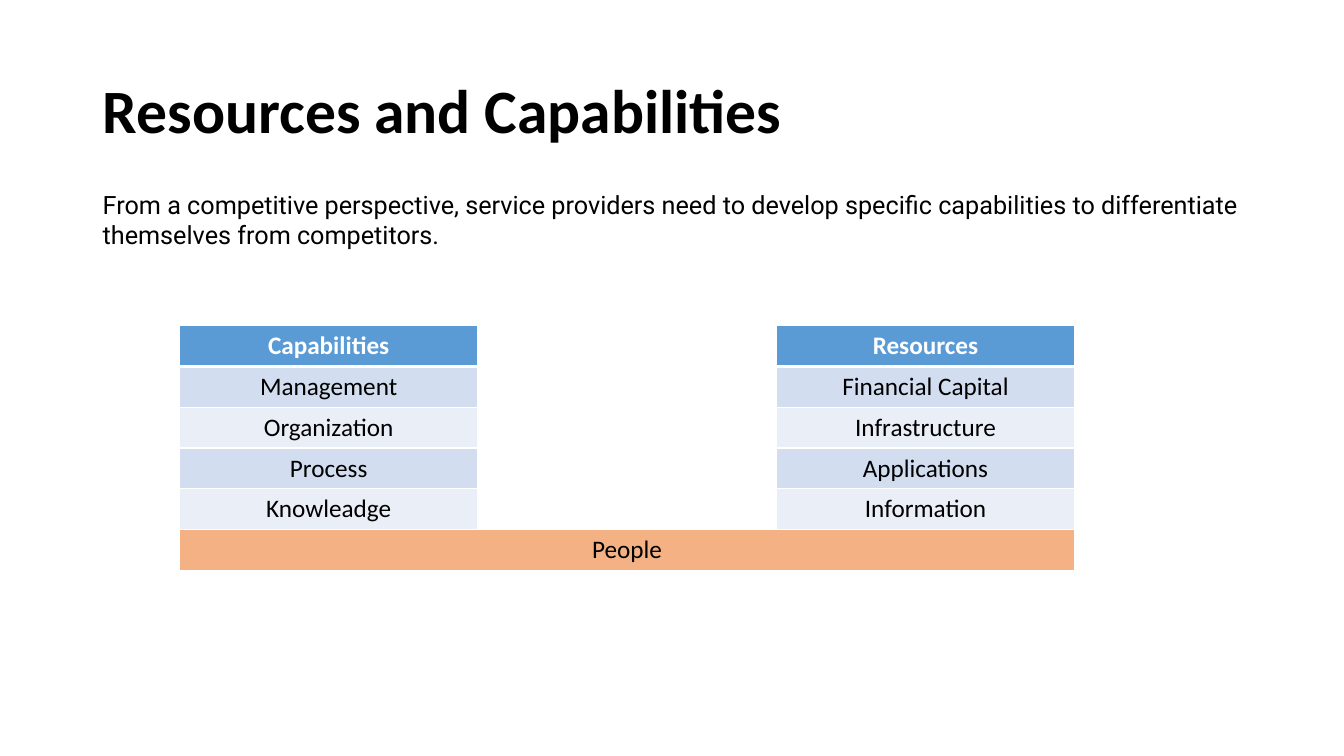
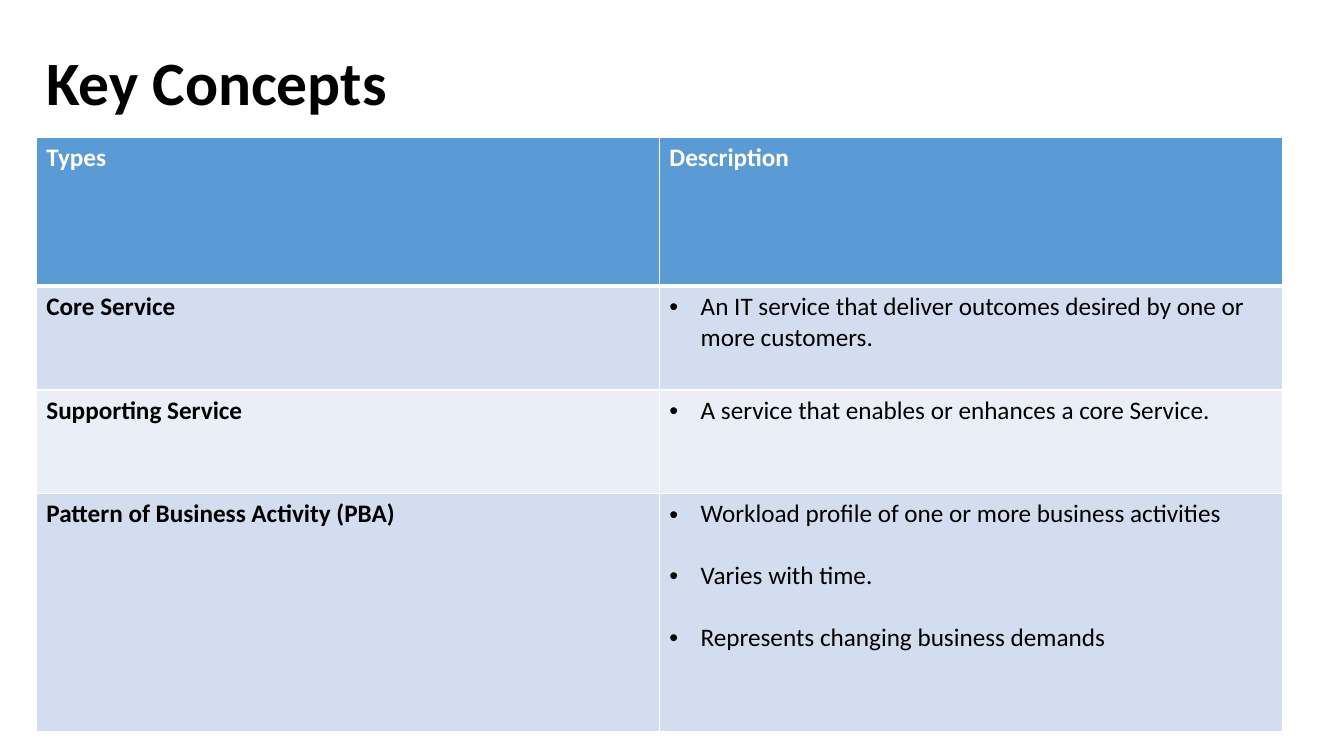
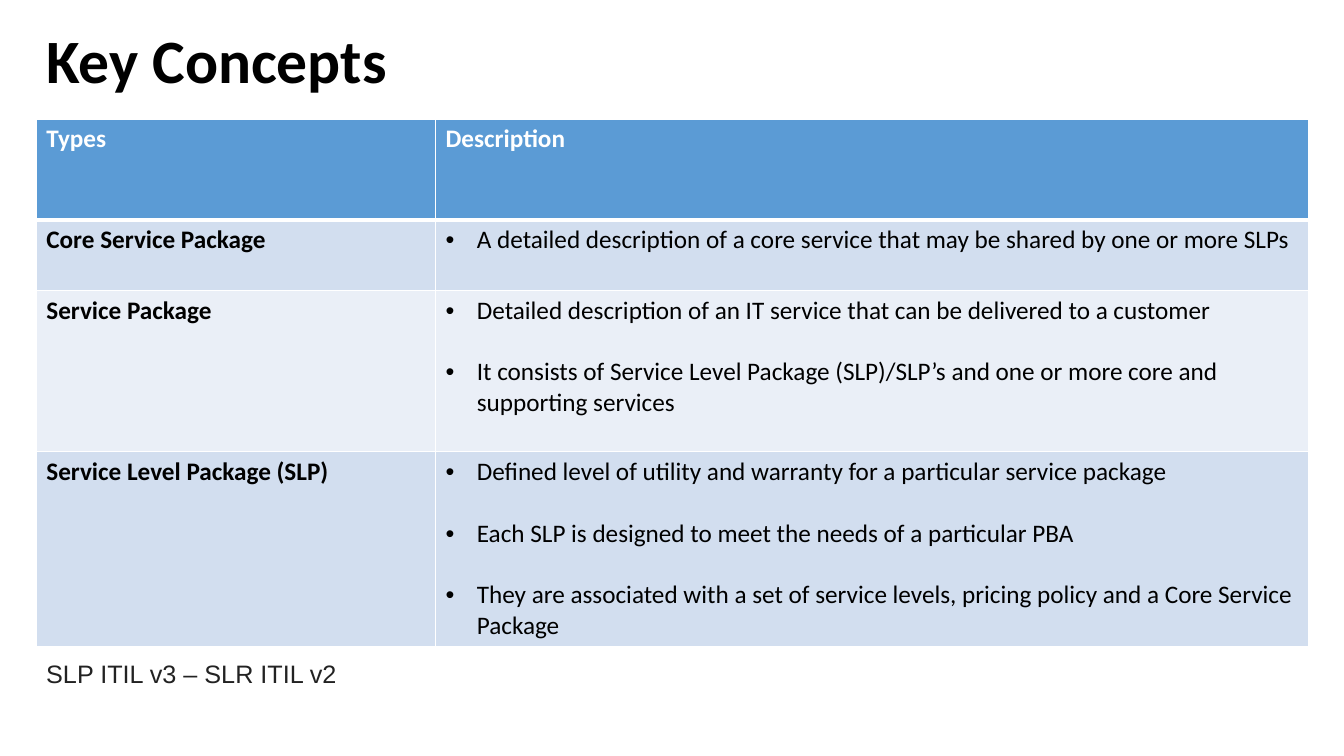
from lxml.etree import SubElement
from pptx import Presentation
from pptx.dml.color import RGBColor
from pptx.enum.text import MSO_ANCHOR, MSO_AUTO_SIZE, PP_ALIGN
from pptx.oxml.ns import qn
from pptx.util import Inches, Pt

# Shared colours and sizes
BLACK, WHITE, GREY = "000000", "FFFFFF", "222222"
HEADER, BANDS, PEOPLE = "5B9BD5", ("D2DEEF", "EAEFF7"), "F4B183"
BODY_SIZE, BULLET_INDENT, BULLET_GAP = 18, 0.31, 22


def rgb(value):
    return RGBColor.from_string(value)


class Deck:
    """Holds the style and the current slide."""

    def __init__(self):
        self.prs = Presentation()
        self.prs.slide_width = Inches(13.33)
        self.prs.slide_height = Inches(7.5)
        self.slide = None

    def add_text(self, p, text, color=BLACK, **formats):
        r = p.add_run()
        r.text = text
        values = {"name": "Calibri", "size": Pt(BODY_SIZE), "bold": False}
        for key, value in {**values, **formats}.items():
            setattr(r.font, key, value)
        r.font.color.rgb = rgb(color)

    def add_slide(self, title, left, top):
        self.slide = self.prs.slides.add_slide(self.prs.slide_layouts[5])
        sp = self.slide.shapes.title
        box = {"left": left, "top": top, "width": 11.5, "height": 1.45}
        for key, value in box.items():
            setattr(sp, key, Inches(value))
        tf = sp.text_frame
        tf.auto_size = MSO_AUTO_SIZE.NONE
        tf.vertical_anchor = MSO_ANCHOR.MIDDLE
        p = tf.paragraphs[0]
        p.alignment = PP_ALIGN.LEFT
        p.line_spacing = 0.9
        self.add_text(p, title, size=Pt(44), bold=True)

    def text_box(self, text, left, top, width, height, color=BLACK, font="Calibri"):
        sp = self.slide.shapes.add_textbox(
            Inches(left), Inches(top), Inches(width), Inches(height))
        tf = sp.text_frame
        tf.word_wrap = True
        self.add_text(tf.paragraphs[0], text, color, name=font)

    def table(self, left, top, cols, rows):
        frame = self.slide.shapes.add_table(
            len(rows), len(cols), Inches(left), Inches(top),
            Inches(sum(cols)), Inches(sum(rows)))
        table = frame.table
        table.horz_banding = False
        for column, width in zip(table.columns, cols):
            column.width = Inches(width)
        for row, height in zip(table.rows, rows):
            row.height = Inches(height)
        return table

    def borders(self, cell, row):
        # The rule below the header row is thicker
        widths = {"lnL": 1, "lnR": 1, "lnT": 3 if row == 1 else 1,
                  "lnB": 3 if row == 0 else 1}
        tc_pr = cell._tc.get_or_add_tcPr()
        for tag, width in widths.items():
            ln = SubElement(tc_pr, qn(f"a:{tag}"), w=str(Pt(width)))
            fill = SubElement(ln, qn("a:solidFill"))
            SubElement(fill, qn("a:srgbClr"), val=WHITE)

    def cell(self, table, row, col, text="", fill=None, bold=False, align=None):
        cell = table.cell(row, col)
        self.borders(cell, row)
        cell.fill.solid()
        cell.fill.fore_color.rgb = rgb(fill or (BANDS[(row - 1) % 2] if row else HEADER))
        if text:
            p = cell.text_frame.paragraphs[0]
            p.alignment = align
            self.add_text(p, text, BLACK if row else WHITE, bold=bold or row == 0)
        return cell

    def bullets(self, cell, items):
        tf = cell.text_frame
        for i, item in enumerate(items):
            p = tf.add_paragraph() if i else tf.paragraphs[0]
            p.space_before = Pt(BULLET_GAP if i else 0)
            self.add_text(p, item)
            p_pr = p._p.get_or_add_pPr()
            p_pr.set("marL", str(Inches(BULLET_INDENT)))
            p_pr.set("indent", str(-Inches(BULLET_INDENT)))
            SubElement(p_pr, qn("a:buFont"), typeface="Arial")
            SubElement(p_pr, qn("a:buChar"), char="•")

    def concepts(self, top, cols, rows, entries):
        table = self.table(0.36, top, cols, rows)
        for col, heading in enumerate(("Types", "Description")):
            self.cell(table, 0, col, heading)
        for row, (name, items) in enumerate(entries, 1):
            self.cell(table, row, 0, name, bold=True)
            self.bullets(self.cell(table, row, 1), items)


def resources_slide(deck):
    deck.add_slide("Resources and Capabilities", 0.92, 0.4)
    deck.text_box("From a competitive perspective, service providers need to develop "
                  "specific capabilities to differentiate themselves from competitors.",
                  0.92, 1.83, 12.12, 0.71, font="Roboto")

    # Two columns of assets standing on a shared base
    pairs = [("Capabilities", "Resources"), ("Management", "Financial Capital"),
             ("Organization", "Infrastructure"), ("Process", "Applications"),
             ("Knowleadge", "Information")]
    base = len(pairs)
    table = deck.table(1.78, 3.23, [2.96] * 3, [2.43 / (base + 1)] * (base + 1))
    for row, (capability, resource) in enumerate(pairs):
        deck.cell(table, row, 0, capability, align=PP_ALIGN.CENTER)
        deck.cell(table, row, 1, fill=WHITE)
        deck.cell(table, row, 2, resource, align=PP_ALIGN.CENTER)
    table.cell(base, 0).merge(table.cell(base, 2))
    deck.cell(table, base, 0, "People", PEOPLE, align=PP_ALIGN.CENTER)


def services_slide(deck):
    deck.add_slide("Key Concepts", 0.36, 0.12)
    deck.concepts(1.36, [6.18, 6.18], [1.48, 1.03, 1.03, 2.36], [
        ("Core Service",
         ["An IT service that deliver outcomes desired by one or more customers."]),
        ("Supporting Service",
         ["A service that enables or enhances a core Service."]),
        ("Pattern of Business Activity (PBA)",
         ["Workload profile of one or more business activities",
          "Varies with time.",
          "Represents changing business demands"]),
    ])


def packages_slide(deck):
    deck.add_slide("Key Concepts", 0.36, -0.09)
    deck.concepts(1.18, [3.96, 8.66], [1, 0.7, 1.6, 1.93], [
        ("Core Service Package",
         ["A detailed description of a core service that may be shared by one or more SLPs"]),
        ("Service Package",
         ["Detailed description of an IT service that can be delivered to a customer",
          "It consists of Service Level Package (SLP)/SLP’s and one or more core and "
          "supporting services"]),
        ("Service Level Package (SLP)",
         ["Defined level of utility and warranty for a particular service package",
          "Each SLP is designed to meet the needs of a particular PBA",
          "They are associated with a set of service levels, pricing policy and a "
          "Core Service Package"]),
    ])
    deck.text_box("SLP ITIL v3 – SLR ITIL v2", 0.36, 6.48, 12.62, 0.4, GREY, "Arial")


def main():
    deck = Deck()
    for build in (resources_slide, services_slide, packages_slide):
        build(deck)
    deck.prs.save("out.pptx")


if __name__ == "__main__":
    main()
